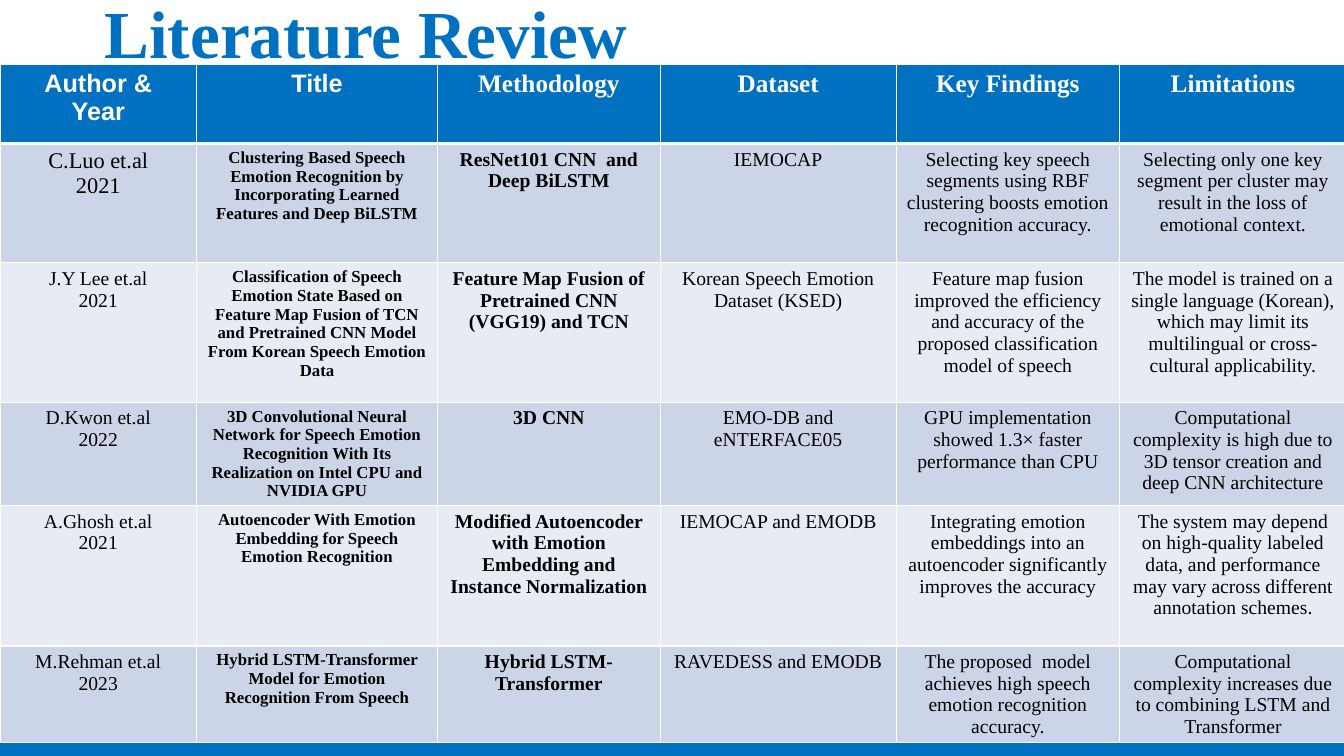
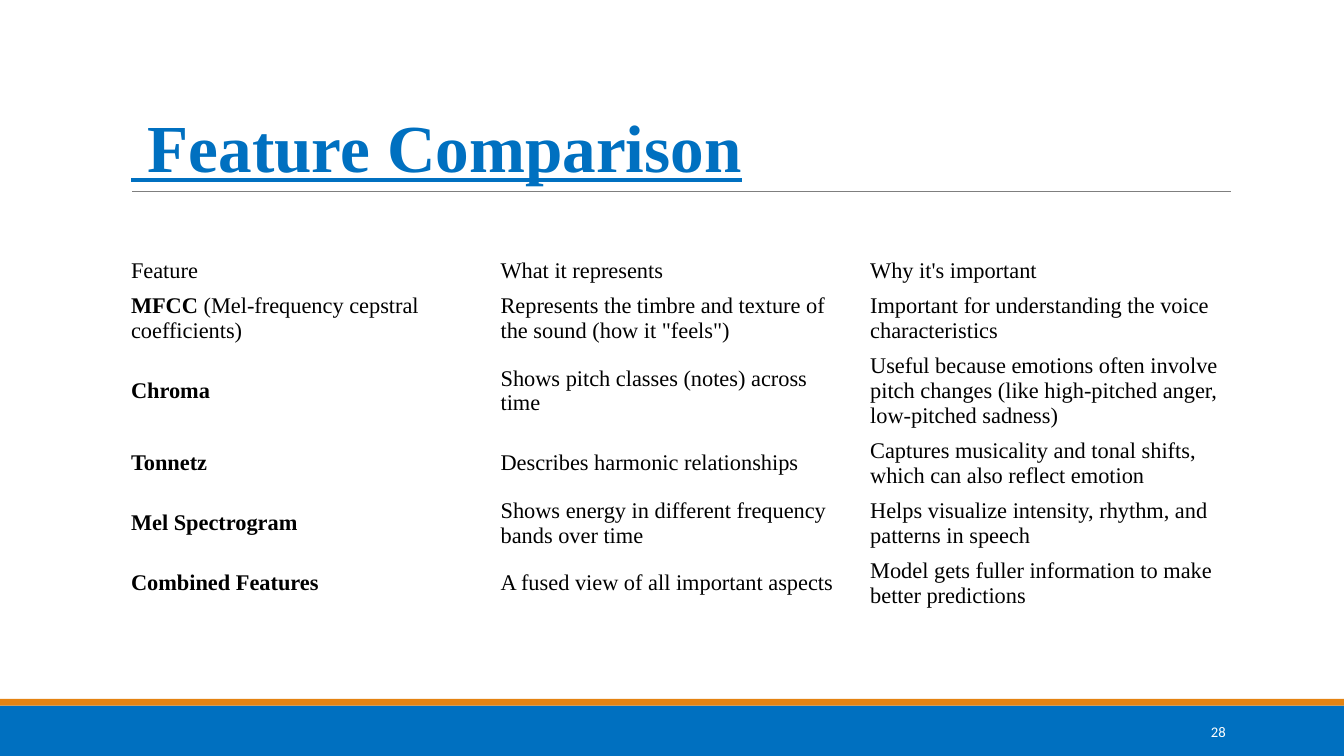
from dataclasses import dataclass, field
from typing import NamedTuple

import pptx
import pptx.dml.color
import pptx.enum.shapes
import pptx.enum.text
import pptx.oxml
import pptx.oxml.ns
import pptx.util

# The slide is a grid of 160 columns by 90 rows of square cells.
GRID_COLUMNS, GRID_ROWS = 160, 90
BLUE, ORANGE, GRAY = "0070C0", "E48312", "7F7F7F"
WHITE, BLACK = "FFFFFF", "000000"
STRIPES = ("CCD5E8", "E7EBF4")
SERIF, SANS, NUMERALS = "Times New Roman", "Arial", "Calibri"
PLAIN_TABLE = "{2D5ABB26-0587-4C30-8999-92F81FD0307C}"

ALIGN = pptx.enum.text.PP_ALIGN
ANCHOR = pptx.enum.text.MSO_ANCHOR


class Area(NamedTuple):
    left: float
    top: float
    width: float
    height: float


@dataclass
class Style:
    size: float = 14
    font: str = SERIF
    color: str = BLACK
    bold: bool = False


@dataclass
class Entry:
    """The text of one table cell; lead is a bold opening."""
    text: str
    style: Style = field(default_factory=Style)
    lead: str = ""


class Review(NamedTuple):
    author: str
    title: str
    method: str
    dataset: str
    findings: str
    limitations: str


class Feature(NamedTuple):
    name: str
    note: str
    represents: str
    importance: str
    lines: int = 2


REVIEW_HEADINGS = ("Author &\nYear", "Title", "Methodology", "Dataset", "Key Findings", "Limitations")
REVIEW_COLUMNS = (23.4, 28.7, 26.5, 28.1, 26.6, 27)
REVIEW_ROWS = (9.4, 14.2, 16.6, 12.3, 16.7, 11.5)
REVIEWS = (
    Review("C.Luo et.al\n2021",
           "Clustering Based Speech Emotion Recognition by Incorporating Learned Features and Deep BiLSTM",
           "ResNet101 CNN  and Deep BiLSTM", "IEMOCAP",
           "Selecting key speech segments using RBF clustering boosts emotion recognition accuracy.",
           "Selecting only one key segment per cluster may result in the loss of emotional context."),
    Review("J.Y Lee et.al\n2021",
           "Classification of Speech Emotion State Based on Feature Map Fusion of TCN and Pretrained "
           "CNN Model From Korean Speech Emotion Data",
           "Feature Map Fusion of Pretrained CNN (VGG19) and TCN", "Korean Speech Emotion Dataset (KSED)",
           "Feature map fusion improved the efficiency and accuracy of the proposed classification "
           "model of speech",
           "The model is trained on a single language (Korean), which may limit its multilingual or "
           "cross-cultural applicability."),
    Review("D.Kwon et.al\n2022",
           "3D Convolutional Neural Network for Speech Emotion Recognition With Its Realization on "
           "Intel CPU and NVIDIA GPU",
           "3D CNN", "EMO-DB and eNTERFACE05",
           "GPU implementation showed 1.3× faster performance than CPU",
           "Computational complexity is high due to 3D tensor creation and deep CNN architecture"),
    Review("A.Ghosh et.al\n2021",
           "Autoencoder With Emotion Embedding for Speech Emotion Recognition",
           "Modified Autoencoder with Emotion Embedding and Instance Normalization", "IEMOCAP and EMODB",
           "Integrating emotion embeddings into an autoencoder significantly improves the accuracy",
           "The system may depend on high-quality labeled data, and performance may vary across "
           "different annotation schemes."),
    Review("M.Rehman et.al\n2023",
           "Hybrid LSTM-Transformer Model for Emotion Recognition From Speech",
           "Hybrid LSTM-Transformer", "RAVEDESS and EMODB",
           "The proposed  model achieves high speech emotion recognition accuracy.",
           "Computational complexity increases due to combining LSTM and Transformer"),
)
FEATURE_HEADINGS = ("Feature", "What it represents", "Why it's important")
FEATURES = (
    Feature("MFCC", " (Mel-frequency cepstral coefficients)",
            'Represents the timbre and texture of the sound (how it "feels")',
            "Important for understanding the voice characteristics"),
    Feature("Chroma", "", "Shows pitch classes (notes) across time",
            "Useful because emotions often involve pitch changes (like high-pitched anger, "
            "low-pitched sadness)", lines=3),
    Feature("Tonnetz", "", "Describes harmonic relationships",
            "Captures musicality and tonal shifts, which can also reflect emotion"),
    Feature("Mel Spectrogram", "", "Shows energy in different frequency bands over time",
            "Helps visualize intensity, rhythm, and patterns in speech"),
    Feature("Combined Features", "", "A fused view of all important aspects",
            "Model gets fuller information to make better predictions"),
)


def cells(count: float) -> pptx.util.Emu:
    """Length of a number of grid cells."""
    return pptx.util.Inches(count / 12)


def place(area: Area) -> tuple:
    return tuple(cells(length) for length in area)


def rgb(color: str) -> pptx.dml.color.RGBColor:
    return pptx.dml.color.RGBColor.from_string(color)


def write(frame, text: str, *, style: Style, lead: str = "", align=ALIGN.LEFT,
          underline: bool = False, spacing: float = 1.0) -> None:
    """Fill a text frame, one paragraph for each line of text."""
    for index, line in enumerate(text.split("\n")):
        para = frame.paragraphs[0] if index == 0 else frame.add_paragraph()
        para.alignment = align
        para.line_spacing = spacing
        pieces = [(lead, True)] if lead and index == 0 else []
        if line:
            pieces.append((line, style.bold))
        for piece, bold in pieces:
            span = para.add_run()
            span.text = piece
            span.font.name = style.font
            span.font.size = pptx.util.Pt(style.size)
            span.font.color.rgb = rgb(style.color)
            span.font.bold = bold
            span.font.underline = underline


def add_band(page, area: Area, color: str):
    band = page.shapes.add_shape(pptx.enum.shapes.MSO_SHAPE.RECTANGLE, *place(area))
    band.shadow.inherit = False
    band.fill.solid()
    band.fill.fore_color.rgb = rgb(color)
    band.line.fill.background()
    return band


def add_rule(page, left: float, right: float, top: float):
    rule = page.shapes.add_connector(
        pptx.enum.shapes.MSO_CONNECTOR.STRAIGHT, cells(left), cells(top), cells(right), cells(top))
    rule.line.color.rgb = rgb(GRAY)
    rule.line.width = pptx.util.Pt(0.75)
    properties = rule.element.find(pptx.oxml.ns.qn("p:spPr"))
    properties.append(pptx.oxml.parse_xml(f"<a:effectLst {pptx.oxml.ns.nsdecls('a')}/>"))
    return rule


def decorate_layout(layout, page) -> None:
    """Draw the bands and rule on a page, then move them behind the layout's placeholders."""
    decorations = (
        add_band(page, Area(0, 84, GRID_COLUMNS, 6), BLUE),
        add_band(page, Area(0, 83.2, GRID_COLUMNS, 0.8), ORANGE),
        add_rule(page, 15.75, 146.5, 22.8),
    )
    for index, shape in enumerate(decorations):
        shape.element.xpath(".//p:cNvPr")[0].set("id", str(100 + index))
        layout.shapes.element.insert(2 + index, shape.element)


def set_title(page, text: str, area: Area) -> None:
    title = page.shapes.title
    title.left, title.top, title.width, title.height = place(area)
    frame = title.text_frame
    frame.word_wrap = True
    frame.auto_size = pptx.enum.text.MSO_AUTO_SIZE.NONE
    frame.vertical_anchor = ANCHOR.BOTTOM
    write(frame, text, style=Style(48, SERIF, BLUE, True), underline=True, spacing=0.85)


def add_page_number(page, number: str) -> None:
    box = page.shapes.add_textbox(*place(Area(130, 84.7, 17.1, 4.8)))
    box.text_frame.word_wrap = True
    box.text_frame.vertical_anchor = ANCHOR.MIDDLE
    write(box.text_frame, number, style=Style(10.5, NUMERALS, WHITE), align=ALIGN.RIGHT)


def set_borders(cell, top: float, bottom: float) -> None:
    """White borders; the side ones are one point wide."""
    properties = cell._tc.get_or_add_tcPr()
    for index, (side, points) in enumerate((("L", 1), ("R", 1), ("T", top), ("B", bottom))):
        properties.insert(index, pptx.oxml.parse_xml(
            f'<a:ln{side} {pptx.oxml.ns.nsdecls("a")} w="{pptx.util.Pt(points)}">'
            f'<a:solidFill><a:srgbClr val="{WHITE}"/></a:solidFill></a:ln{side}>'))


def add_grid(page, left: float, top: float, widths, heights, entries, *,
             align=ALIGN.LEFT, anchor=ANCHOR.TOP, fills=()) -> None:
    """Draw a table; fills holds one colour per row, or nothing for a bare table."""
    area = Area(left, top, sum(widths), sum(heights))
    holder = page.shapes.add_table(len(heights), len(widths), *place(area))
    next(holder.element.iter(pptx.oxml.ns.qn("a:tableStyleId"))).text = PLAIN_TABLE
    table = holder.table
    for column, width in zip(table.columns, widths):
        column.width = cells(width)
    for row, height in zip(table.rows, heights):
        row.height = cells(height)
    for row_index, row_entries in enumerate(entries):
        for column_index, entry in enumerate(row_entries):
            cell = table.cell(row_index, column_index)
            cell.vertical_anchor = anchor
            write(cell.text_frame, entry.text, style=entry.style, lead=entry.lead, align=align)
            if fills:
                cell.fill.solid()
                cell.fill.fore_color.rgb = rgb(fills[row_index])
                set_borders(cell, top=3 if row_index == 1 else 1, bottom=3 if row_index == 0 else 1)
            else:
                cell.fill.background()


def build_review(page) -> None:
    set_title(page, "Literature Review", Area(11.25, 0, 132, 9.2))
    entries = [[Entry(heading, Style(18, SANS if index < 2 else SERIF, WHITE, True))
                for index, heading in enumerate(REVIEW_HEADINGS)]]
    for index, review in enumerate(REVIEWS):
        styles = (Style(16 if index == 0 else 14), Style(12, bold=True), Style(bold=True),
                  Style(), Style(), Style())
        entries.append([Entry(text, style) for text, style in zip(review, styles)])
    fills = [BLUE] + [STRIPES[index % 2] for index in range(len(REVIEWS))]
    add_grid(page, 0, 7.7, REVIEW_COLUMNS, REVIEW_ROWS, entries, align=ALIGN.CENTER, fills=fills)


def build_features(page) -> None:
    set_title(page, " Feature Comparison", Area(14.4, 3.7, 132, 19.1))
    style = Style(16)
    entries = [[Entry(heading, style) for heading in FEATURE_HEADINGS]]
    for feature in FEATURES:
        entries.append([Entry(feature.note, style, lead=feature.name),
                        Entry(feature.represents, style), Entry(feature.importance, style)])
    line_counts = [1] + [feature.lines for feature in FEATURES]
    heights = [1.2 + 2.95 * count for count in line_counts]
    add_grid(page, 14.4, 30.2, (44, 44, 44), heights, entries, anchor=ANCHOR.MIDDLE)
    add_page_number(page, "28")


def main() -> None:
    deck = pptx.Presentation()
    deck.slide_width, deck.slide_height = cells(GRID_COLUMNS), cells(GRID_ROWS)
    layout = deck.slide_layouts.get_by_name("Title Only")
    review_page, feature_page = (deck.slides.add_slide(layout) for _ in range(2))
    decorate_layout(layout, review_page)
    build_review(review_page)
    build_features(feature_page)
    deck.save("out.pptx")


if __name__ == "__main__":
    main()
